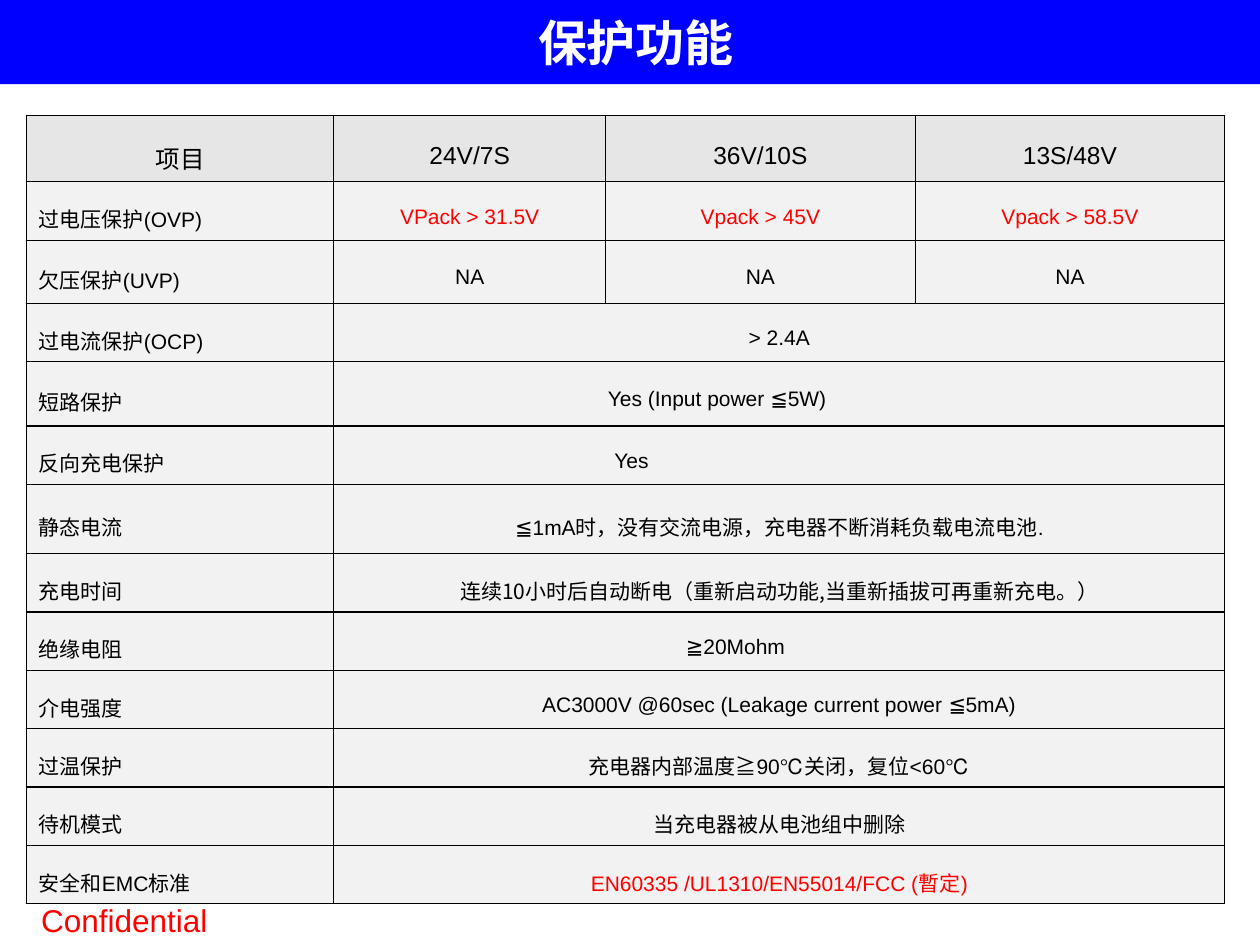
"""Build the slide with the table of charger protection functions."""
from lxml.etree import SubElement
from pptx import Presentation
from pptx.dml.color import RGBColor
from pptx.enum.shapes import MSO_SHAPE
from pptx.enum.text import MSO_ANCHOR, MSO_AUTO_SIZE, PP_ALIGN
from pptx.oxml.ns import qn
from pptx.util import Cm, Pt

BLUE = RGBColor(0x00, 0x00, 0xFF)
RED = RGBColor(0xFF, 0x00, 0x00)
BLACK = RGBColor(0x00, 0x00, 0x00)
WHITE = RGBColor(0xFF, 0xFF, 0xFF)
HEAD = RGBColor(0xE6, 0xE6, 0xE6)
BODY = RGBColor(0xF2, 0xF2, 0xF2)

FONT = "Arial"
TITLE = "保护功能"
FOOTER = "Confidential"
COLS = [6.2, 5.48, 6.24, 6.24]
ROWS = [
    (0.79, ["项目", "24V/7S", "36V/10S", "13S/48V"]),
    (1.12, ["过电压保护(OVP)", "VPack > 31.5V", "Vpack > 45V", "Vpack > 58.5V"]),
    (1.27, ["欠压保护(UVP)", "NA", "NA", "NA"]),
    (1.04, ["过电流保护(OCP)", "> 2.4A"]),
    (1.3, ["短路保护", "Yes (Input power ≦5W)"]),
    (1.12, ["反向充电保护", "Yes"]),
    (1.4, ["静态电流", "≦1mA时，没有交流电源，充电器不断消耗负载电流电池."]),
    (1.09, ["充电时间", "连续10小时后自动断电（重新启动功能,当重新插拔可再重新充电。）"]),
    (1.02, ["绝缘电阻", "≧20Mohm"]),
    (0.99, ["介电强度", "AC3000V @60sec (Leakage current power ≦5mA)"]),
    (0.99, ["过温保护", "充电器内部温度≧90℃关闭，复位<60℃"]),
    (0.99, ["待机模式", "当充电器被从电池组中删除"]),
    (0.99, ["安全和EMC标准", "EN60335 /UL1310/EN55014/FCC (暫定)"]),
]
RED_ROWS = {1, 12}
INDENTS = {4: 5.27, 5: 5.4, 8: 6.84}
FONTS = {7: "Noto Sans CJK TC"}


def style(para, size, color, name=FONT, bold=False):
    """Set the font of a paragraph."""
    font = para.font
    font.size, font.name, font.bold = Pt(size), name, bold
    font.color.rgb = color


def frame(cell):
    """Draw thin black borders round a cell."""
    props = cell._tc.get_or_add_tcPr()
    for side in ("a:lnL", "a:lnR", "a:lnT", "a:lnB"):
        line = SubElement(props, qn(side), w=str(Pt(0.75)))
        fill = SubElement(line, qn("a:solidFill"))
        SubElement(fill, qn("a:srgbClr"), val=str(BLACK))


def label(slide, text, box, size, color, align, bold=False):
    """Add a one-line text box."""
    shape = slide.shapes.add_textbox(*map(Cm, box))
    shape.text_frame.word_wrap = False
    shape.text_frame.auto_size = MSO_AUTO_SIZE.SHAPE_TO_FIT_TEXT
    para = shape.text_frame.paragraphs[0]
    para.text, para.alignment = text, align
    style(para, size, color, bold=bold)


def write(cell, row, col, text):
    """Fill a table cell with its text."""
    cell.vertical_anchor = MSO_ANCHOR.MIDDLE
    para = cell.text_frame.paragraphs[0]
    para.text, para.line_spacing = text, 1.5
    left = row > 0 and (col == 0 or row in INDENTS)
    para.alignment = PP_ALIGN.LEFT if left else PP_ALIGN.CENTER
    if col and row in INDENTS:
        props = para._p.get_or_add_pPr()
        props.set("marL", str(Cm(INDENTS[row])))
        props.set("indent", "0")
    color = RED if col and row in RED_ROWS else BLACK
    name = FONTS.get(row, FONT) if col else FONT
    style(para, 12 if row else 14, color, name)


def fill_table(slide):
    """Add the table of protection functions."""
    high = sum(size for size, _ in ROWS)
    box = map(Cm, (0.53, 2.33, sum(COLS), high))
    table = slide.shapes.add_table(len(ROWS), len(COLS), *box).table
    table.first_row = table.horz_banding = False
    for col, wide in zip(table.columns, COLS):
        col.width = Cm(wide)
    for row, (size, texts) in enumerate(ROWS):
        table.rows[row].height = Cm(size)
        for col in range(len(COLS)):
            cell = table.cell(row, col)
            frame(cell)
            cell.fill.solid()
            cell.fill.fore_color.rgb = BODY if row else HEAD
        if len(texts) == 2:
            table.cell(row, 1).merge(table.cell(row, len(COLS) - 1))
        for col, text in enumerate(texts):
            write(table.cell(row, col), row, col, text)


def main():
    """Build and save the slide."""
    deck = Presentation()
    deck.slide_width, deck.slide_height = Cm(25.4), Cm(19.05)
    slide = deck.slides.add_slide(deck.slide_layouts[6])
    band = slide.shapes.add_shape(MSO_SHAPE.RECTANGLE, 0, 0, Cm(25.4), Cm(1.7))
    band.shadow.inherit = False
    band.fill.solid()
    band.fill.fore_color.rgb = BLUE
    band.line.fill.background()
    fill_table(slide)
    label(slide, TITLE, (10.57, 0.13, 4.5, 1.45), 28, WHITE, PP_ALIGN.CENTER, True)
    label(slide, FOOTER, (0.58, 18.03, 4.22, 1.02), 18, RED, PP_ALIGN.LEFT)
    deck.save("out.pptx")


if __name__ == "__main__":
    main()
